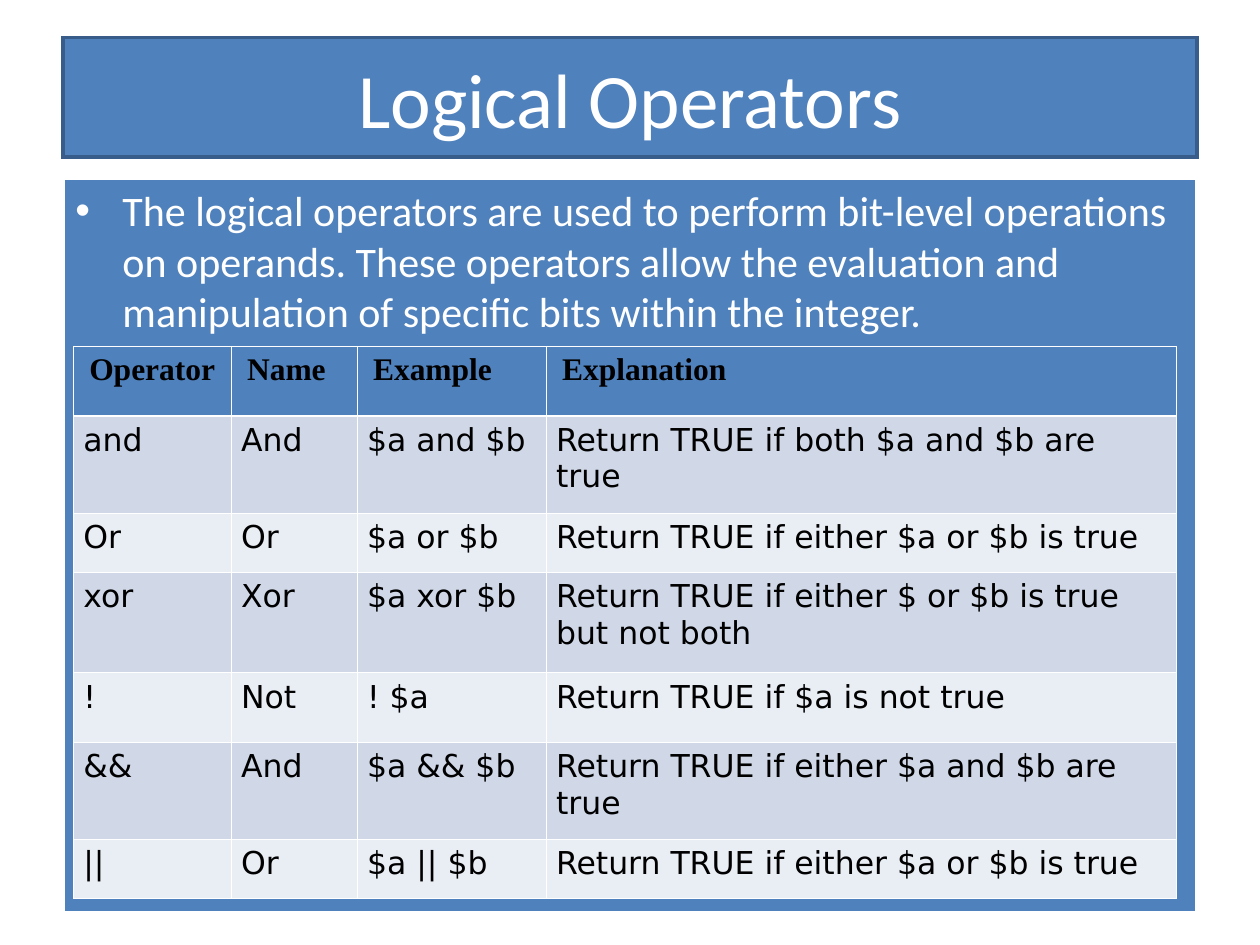
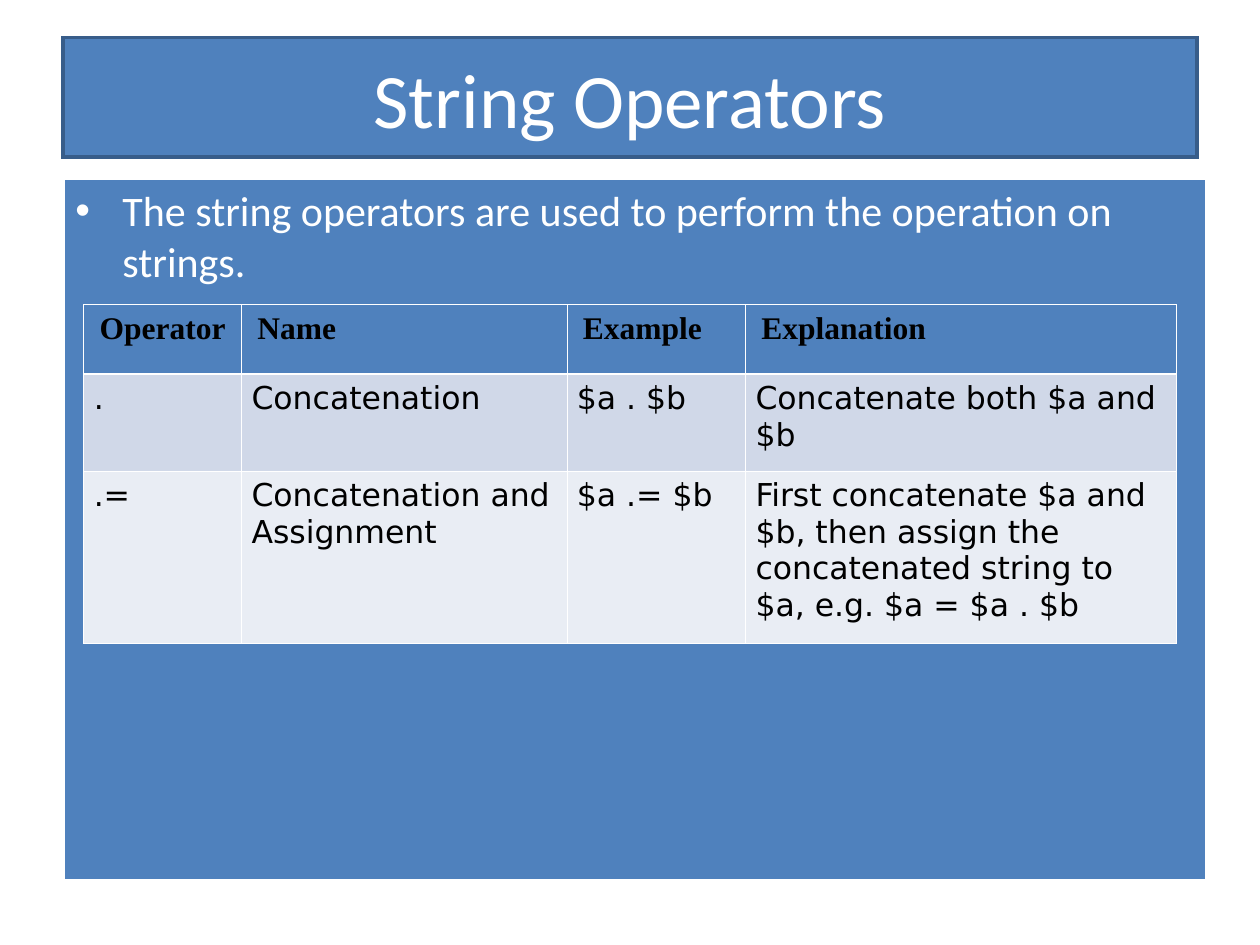
from pptx import Presentation
from pptx.dml.color import RGBColor
from pptx.enum.shapes import MSO_SHAPE
from pptx.enum.text import MSO_ANCHOR, PP_ALIGN
from pptx.oxml.ns import qn
from pptx.util import Cm, Pt
from lxml.etree import SubElement

BLUE = RGBColor(0x4F, 0x81, 0xBD)
NAVY = RGBColor(0x38, 0x5D, 0x8A)
WHITE = RGBColor(0xFF, 0xFF, 0xFF)
BLACK = RGBColor(0x00, 0x00, 0x00)
BAND_DARK = RGBColor(0xD0, 0xD8, 0xE8)
BAND_LIGHT = RGBColor(0xE9, 0xED, 0xF4)

HEADER = ("Operator", "Name", "Example", "Explanation")
LOGICAL = [
    HEADER,
    ("and", "And", "$a and $b", "Return TRUE if both $a and $b are true"),
    ("Or", "Or", "$a or $b", "Return TRUE if either $a or $b is true"),
    ("xor", "Xor", "$a xor $b",
     "Return TRUE if either $ or $b is true but not both"),
    ("!", "Not", "! $a", "Return TRUE if $a is not true"),
    ("&&", "And", "$a && $b", "Return TRUE if either $a and $b are true"),
    ("||", "Or", "$a || $b", "Return TRUE if either $a or $b is true"),
]
STRINGS = [
    HEADER,
    (".", "Concatenation", "$a . $b", "Concatenate both $a and $b"),
    (".=", "Concatenation and Assignment", "$a .= $b",
     "First concatenate $a and $b, then assign the concatenated string "
     "to $a, e.g. $a = $a . $b"),
]


def write(tf, text, size=18, font="Calibri", color=WHITE, bold=False,
          align=PP_ALIGN.LEFT, bullet=False):
    """Put one formatted paragraph into a text frame."""
    tf.word_wrap = True
    p = tf.paragraphs[0]
    p.alignment = align
    if bullet:
        pPr = p._p.get_or_add_pPr()
        pPr.set("marL", str(Cm(0.95)))
        pPr.set("indent", str(-Cm(0.95)))
        clr = SubElement(pPr, qn("a:buClr"))
        SubElement(clr, qn("a:srgbClr"), val=str(color))
        SubElement(pPr, qn("a:buFont"), typeface="Arial")
        SubElement(pPr, qn("a:buChar"), char="•")
    r = p.add_run()
    r.text = text
    r.font.size = Pt(size)
    r.font.name = font
    r.font.bold = bold
    r.font.color.rgb = color


def set_borders(cell, **widths):
    """Draw white cell borders with a width in points for each side."""
    tcPr = cell._tc.get_or_add_tcPr()
    for side in "LRTB":
        width = str(Pt(widths.get(side, 0.45)))
        ln = SubElement(tcPr, qn(f"a:ln{side}"), w=width)
        fill = SubElement(ln, qn("a:solidFill"))
        SubElement(fill, qn("a:srgbClr"), val=str(WHITE))


class Deck:
    """Hold the shared style and the current slide."""

    def __init__(self):
        """Start an empty 4:3 presentation."""
        self.prs = Presentation()
        self.prs.slide_width, self.prs.slide_height = Cm(25.4), Cm(19.05)
        self.s = None

    def new_slide(self, title):
        """Add a blank slide with its title band."""
        self.s = self.prs.slides.add_slide(self.prs.slide_layouts[6])
        tf = self.box(0.76, 22.86, 2.41, NAVY, 2)
        tf.vertical_anchor = MSO_ANCHOR.MIDDLE
        write(tf, title, size=44, align=PP_ALIGN.CENTER)

    def box(self, top, width, height, line, line_width):
        """Add a blue rectangle at the left margin and return its text frame."""
        sp = self.s.shapes.add_shape(MSO_SHAPE.RECTANGLE, Cm(1.27), Cm(top),
                                     Cm(width), Cm(height))
        sp.shadow.inherit = False
        sp.fill.solid()
        sp.fill.fore_color.rgb = BLUE
        sp.line.color.rgb = line
        sp.line.width = Pt(line_width)
        ln = sp._element.spPr.find(qn("a:ln"))
        SubElement(ln, qn("a:miter"), lim="800000")
        return sp.text_frame

    def panel(self, text, width, height):
        """Add the body panel with one bulleted statement."""
        tf = self.box(3.6, width, height, WHITE, 2.25)
        tf.vertical_anchor = MSO_ANCHOR.TOP
        write(tf, text, size=24, bullet=True)

    def table(self, rows, left, top, widths, heights):
        """Add an operator table with a blue header and banded rows."""
        tbl = self.s.shapes.add_table(
            len(rows), len(widths), Cm(left), Cm(top),
            Cm(sum(widths)), Cm(sum(heights))).table
        tbl.horz_banding = False
        for col, width in zip(tbl.columns, widths):
            col.width = Cm(width)
        for i, (row, height) in enumerate(zip(rows, heights)):
            tbl.rows[i].height = Cm(height)
            for j, text in enumerate(row):
                self.cell(tbl.cell(i, j), text, i)

    def cell(self, cell, text, i):
        """Fill one table cell in the style of row i."""
        cell.margin_left = Cm(0.2 if i else 0.32)
        cell.margin_right = Cm(0.2)
        cell.margin_top = cell.margin_bottom = Cm(0.13)
        if i == 0:
            set_borders(cell, B=1.47)
            fill, font = BLUE, "Times New Roman"
        else:
            set_borders(cell, T=1.47 if i == 1 else 0.45)
            fill, font = BAND_DARK if i % 2 else BAND_LIGHT, "DejaVu Sans"
        cell.fill.solid()
        cell.fill.fore_color.rgb = fill
        write(cell.text_frame, text, font=font, color=BLACK, bold=i == 0)


def main():
    """Build both operator slides."""
    deck = Deck()

    deck.new_slide("Logical Operators")
    deck.panel("The logical operators are used to perform bit-level "
               "operations on operands. These operators allow the evaluation "
               "and manipulation of specific bits within the integer.",
               22.86, 14.81)
    deck.table(LOGICAL, 1.48, 6.98, (3.18, 2.54, 3.81, 12.7),
               (1.4, 1.96, 1.19, 2.03, 1.4, 1.96, 1.19))

    deck.new_slide("String Operators")
    deck.panel("The string operators are used to perform the operation on "
               "strings.", 23.06, 14.17)
    deck.table(STRINGS, 1.69, 6.14, (3.18, 6.56, 3.6, 8.69),
               (1.4, 1.96, 3.47))

    deck.prs.save("out.pptx")


if __name__ == "__main__":
    main()
